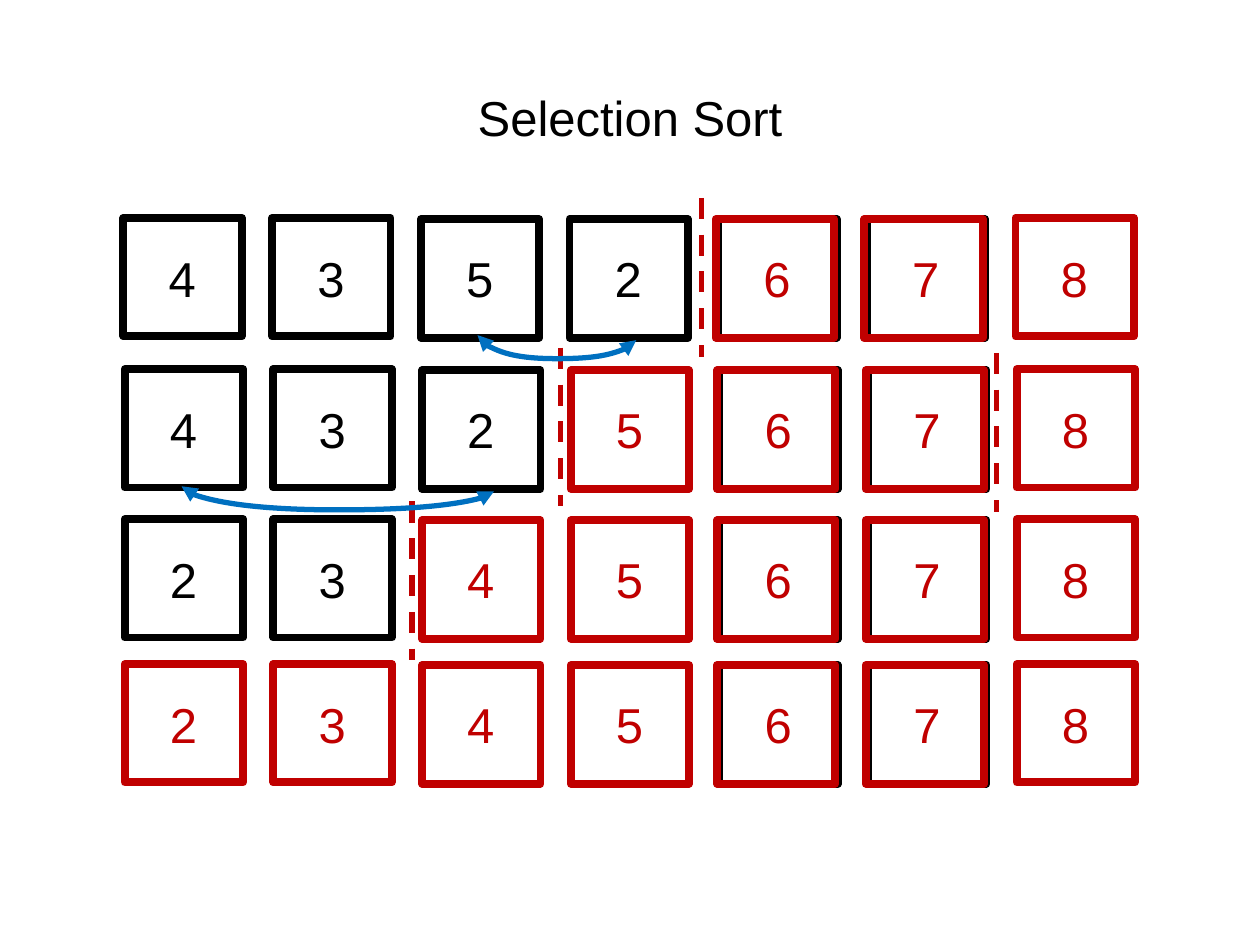
from dataclasses import dataclass

from pptx import Presentation
from pptx.dml.color import RGBColor
from pptx.enum.dml import MSO_LINE
from pptx.enum.shapes import MSO_CONNECTOR as Connector, MSO_SHAPE as Shape
from pptx.enum.text import MSO_ANCHOR as Anchor, MSO_AUTO_SIZE as AutoSize, PP_ALIGN as Align
from pptx.oxml.ns import qn
from pptx.util import Inches, Pt
from lxml.etree import SubElement


@dataclass(frozen=True)
class Theme:
    font: str = "Arial"
    text_size: float = 28
    box_line: float = 4.5
    thin_line: float = 3
    unsorted: str = "000000"
    sorted: str = "C00000"
    swap: str = "0070C0"


BOX = 0.94
COLUMN_STEP = 1.18
SHADOW_SHIFT = 0.02
SHADOWED_COLUMNS = (4, 5)
LOWERED_COLUMNS = range(2, 6)
DIVIDER_HEIGHT = 1.26
SWAP_RISE = 0.04
SWAP_BEND = 466600

# left, top, numbers, index of the first sorted number
ROWS = [
    (0.98, 1.73, "4352678", 4),
    (0.99, 2.93, "4325678", 3),
    (0.99, 4.12, "2345678", 2),
    (0.99, 5.27, "2345678", 0),
]
DIVIDERS = [(7.91, 2.8), (3.27, 3.98), (5.57, 1.57), (4.45, 2.76)]
# start x, end x, start y
SWAPS = [(3.79, 5.05, 2.66), (1.44, 3.92, 3.86)]


def apply(target, values):
    for name, value in values.items():
        setattr(target, name, value)


class SlideBuilder:
    def __init__(self, slide, theme):
        self.slide = slide
        self.theme = theme

    def style_line(self, shape, color, width, dash=None):
        shape.line.color.rgb = RGBColor.from_string(color)
        apply(shape.line, {"width": Pt(width), "dash_style": dash})

    def text(self, shapes, text, area, color, frame_format, align=Align.LEFT):
        frame = shapes.add_textbox(*map(Inches, area)).text_frame
        apply(frame, frame_format)
        paragraph = frame.paragraphs[0]
        paragraph.alignment = align
        run = paragraph.add_run()
        apply(run, {"text": text})
        apply(run.font, {"name": self.theme.font, "size": Pt(self.theme.text_size)})
        run.font.color.rgb = RGBColor.from_string(color)

    def title(self, text):
        frame_format = {"word_wrap": True, "vertical_anchor": Anchor.MIDDLE}
        self.text(self.slide.shapes, text, (0.5, 0.3, 9, 1.25),
                  self.theme.unsorted, frame_format, Align.CENTER)

    def box(self, shapes, left, top, color):
        shape = shapes.add_shape(Shape.RECTANGLE, *map(Inches, (left, top, BOX, BOX)))
        shape.fill.background()
        shape.shadow.inherit = False
        self.style_line(shape, color, self.theme.box_line)
        SubElement(shape.line._ln, qn("a:round"))

    def row(self, left, top, numbers, first_sorted):
        """Draw one state of the array as a group of numbered boxes."""
        shapes = self.slide.shapes.add_group_shape().shapes
        frame_format = {"word_wrap": False, "auto_size": AutoSize.SHAPE_TO_FIT_TEXT}
        for column, number in enumerate(numbers):
            color = self.theme.sorted if column >= first_sorted else self.theme.unsorted
            x = left + column * COLUMN_STEP
            y = top + (0.01 if column in LOWERED_COLUMNS else 0)
            if column in SHADOWED_COLUMNS:
                self.box(shapes, x, y, self.theme.unsorted)
                self.box(shapes, x - SHADOW_SHIFT, y, color)
            else:
                self.box(shapes, x, y, color)
            self.text(shapes, number, (x + 0.26, top + 0.19, 0.42, 0.57), color, frame_format)

    def connector(self, kind, ends, color, dash=None):
        connector = self.slide.shapes.add_connector(kind, *map(Inches, ends))
        self.style_line(connector, color, self.theme.thin_line, dash)
        SubElement(connector._element.spPr, qn("a:effectLst"))
        return connector

    def divider(self, x, top):
        self.connector(Connector.STRAIGHT, (x, top, x, top + DIVIDER_HEIGHT),
                       self.theme.sorted, MSO_LINE.DASH)

    def swap_arrow(self, start, end, y):
        """Draw a double-headed curve sagging below the two swapped numbers."""
        middle_x, middle_y = (start + end) / 2, y + SWAP_RISE / 2
        half_width, half_height = SWAP_RISE / 2, (end - start) / 2
        # Mirrored and upright here; the rotation lays it below the boxes.
        ends = (middle_x + half_width, middle_y - half_height,
                middle_x - half_width, middle_y + half_height)
        connector = self.connector(Connector.CURVE, ends, self.theme.swap)
        connector.rotation = 270
        adjustments = connector._element.spPr.find(qn("a:prstGeom")).get_or_add_avLst()
        SubElement(adjustments, qn("a:gd"), name="adj1", fmla=f"val {SWAP_BEND}")
        for end_tag in ("a:headEnd", "a:tailEnd"):
            SubElement(connector.line._ln, qn(end_tag), type="triangle")


def main():
    presentation = Presentation()
    apply(presentation, {"slide_width": Inches(10), "slide_height": Inches(7.5)})
    slide = presentation.slides.add_slide(presentation.slide_layouts[6])
    builder = SlideBuilder(slide, Theme())
    builder.title("Selection Sort")
    for row in ROWS:
        builder.row(*row)
    for divider in DIVIDERS:
        builder.divider(*divider)
    for swap in SWAPS:
        builder.swap_arrow(*swap)
    presentation.save("out.pptx")


if __name__ == "__main__":
    main()
